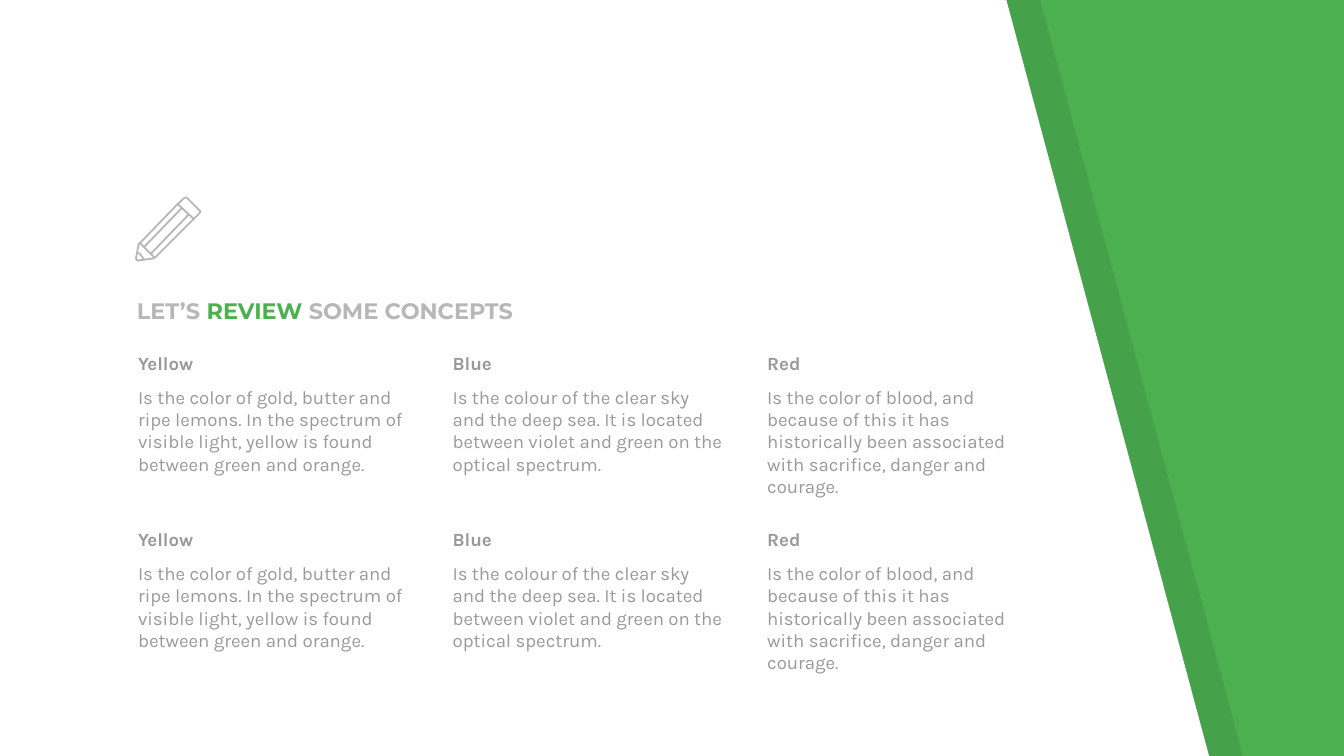
from lxml import etree
from pptx import Presentation
from pptx.dml.color import RGBColor
from pptx.enum.shapes import MSO_CONNECTOR
from pptx.enum.text import MSO_ANCHOR
from pptx.oxml.ns import qn
from pptx.util import Cm, Pt

STRAIGHT = MSO_CONNECTOR.STRAIGHT
TOP, BOTTOM = MSO_ANCHOR.TOP, MSO_ANCHOR.BOTTOM

COLORS = {"green": "4CAF50", "white": "FFFFFF", "black": "000000",
          "light": "B7B7B7", "text": "999999"}

TITLE = [("LET’S ", "light"), ("REVIEW", "green"), (" SOME CONCEPTS", "light")]
CARDS = [
    ("Yellow", "Is the color of gold, butter and ripe lemons. In the spectrum "
               "of visible light, yellow is found between green and orange."),
    ("Blue", "Is the colour of the clear sky and the deep sea. It is located "
             "between violet and green on the optical spectrum."),
    ("Red", "Is the color of blood, and because of this it has historically "
            "been associated with sacrifice, danger and courage."),
]

# The pencil is drawn on a square grid of this many units
GRID = 96
CAP = [(62, 10), (72, 1), (74, 0), (76, 1), (94, 19), (96, 21), (95, 23), (86, 32)]
BODY = [(62, 10), (6, 68), (4, 70), (0, 91), (1, 93), (3, 94), (26, 91),
        (28, 90), (86, 32)]
STROKES = [((78, 26), (22, 84)), ((12, 74), (68, 16)),
           ((12, 92), (4, 82)), ((6, 68), (28, 90))]


def rgb(name):
    return RGBColor.from_string(COLORS[name])


def add_panel(slide, left, top, width, height, slant, color, alpha=None):
    """Draw a panel whose right side leans outward by slant."""
    pen = slide.shapes.build_freeform(left, top)
    pen.add_line_segments([(left, top + height), (left + width, top + height),
                           (left + width - slant, top)])
    panel = pen.convert_to_shape()
    panel.shadow.inherit = False
    panel.line.fill.background()
    panel.fill.solid()
    panel.fill.fore_color.rgb = rgb(color)
    if alpha is not None:
        fill = panel.fill._xPr.find(qn("a:solidFill"))
        etree.SubElement(fill[0], qn("a:alpha"), val=str(alpha * 1000))


def add_pencil(slide, left, top, size):
    unit = size / GRID

    def ink(line):
        line.color.rgb = rgb("light")
        line.width = Pt(0.96)

    for points, closed in ((CAP, True), (BODY, False)):
        pen = slide.shapes.build_freeform(*points[0], scale=unit)
        pen.add_line_segments(points[1:], close=closed)
        part = pen.convert_to_shape(left, top)
        part.shadow.inherit = False
        part.fill.background()
        ink(part.line)
    for (x1, y1), (x2, y2) in STROKES:
        stroke = slide.shapes.add_connector(
            STRAIGHT, int(left + x1 * unit), int(top + y1 * unit),
            int(left + x2 * unit), int(top + y2 * unit))
        ink(stroke.line)
        etree.SubElement(stroke._element.spPr, qn("a:effectLst"))


def add_frame(slide, left, top, width, height, anchor):
    frame = slide.shapes.add_textbox(left, top, width, height).text_frame
    frame.word_wrap = True
    frame.vertical_anchor = anchor
    frame.margin_left = frame.margin_right = Cm(0.25)
    frame.margin_top = frame.margin_bottom = Cm(0.25)
    return frame


def style(run, face, size, color, bold):
    run.font.name = face
    run.font.size = Pt(size)
    run.font.color.rgb = rgb(color)
    run.font.bold = bold


def add_title(slide, left, top, width, height):
    line = add_frame(slide, left, top, width, height, BOTTOM).paragraphs[0]
    for words, color in TITLE:
        run = line.add_run()
        run.text = words
        style(run, "Montserrat", 12, color, True)


def add_card(slide, left, top, width, height, name, about):
    frame = add_frame(slide, left, top, width, height, TOP)
    frame.text = f"{name}\n{about}"
    for para, bold in zip(frame.paragraphs, (True, False)):
        para.space_before = Pt(6)
        style(para.runs[0], "Karla", 10, "text", bold)


def add_cards(slide, left, top, width, height, rows=2):
    """Repeat the row of cards down the box; the rows overlap slightly."""
    wide, high = Cm(5.66), Cm(3.63)
    across = (width - wide) // (len(CARDS) - 1)
    down = (height - high) // (rows - 1)
    for row in range(rows):
        for col, (name, about) in enumerate(CARDS):
            add_card(slide, left + col * across, top + row * down,
                     wide, high, name, about)


def main():
    deck = Presentation()
    deck.slide_width, deck.slide_height = Cm(25.4), Cm(14.29)
    slide = deck.slides.add_slide(deck.slide_layouts[6])
    back = slide.background.fill
    back.solid()
    back.fore_color.rgb = rgb("green")

    for left, color, alpha in ((Cm(0.64), "black", 7), (Cm(0), "white", None)):
        add_panel(slide, left, Cm(0), Cm(22.85), deck.slide_height,
                  Cm(3.83), color, alpha)
    add_title(slide, Cm(2.34), Cm(5.23), Cm(13.34), Cm(1.14))
    add_cards(slide, Cm(2.36), Cm(6.4), Cm(17.55), Cm(6.96))
    add_pencil(slide, Cm(2.57), Cm(3.73), Cm(1.22))
    deck.save("out.pptx")


if __name__ == "__main__":
    main()
